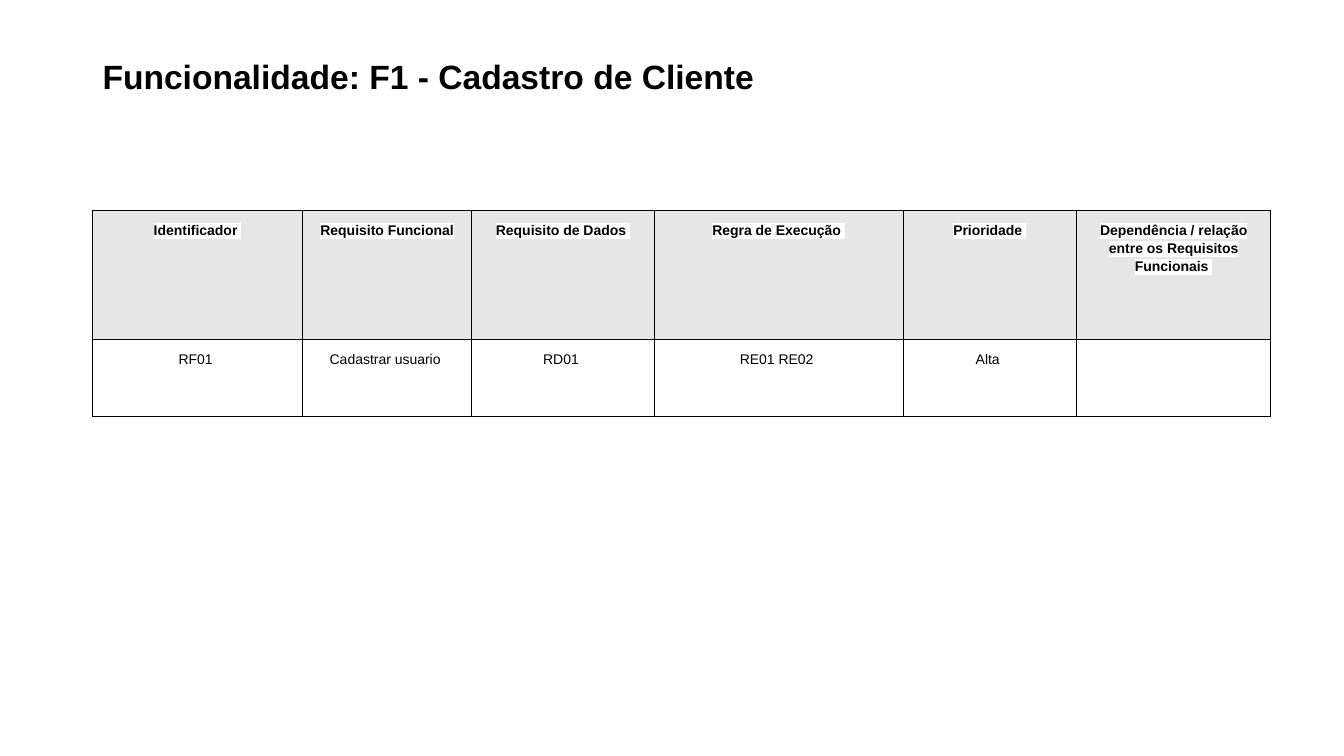
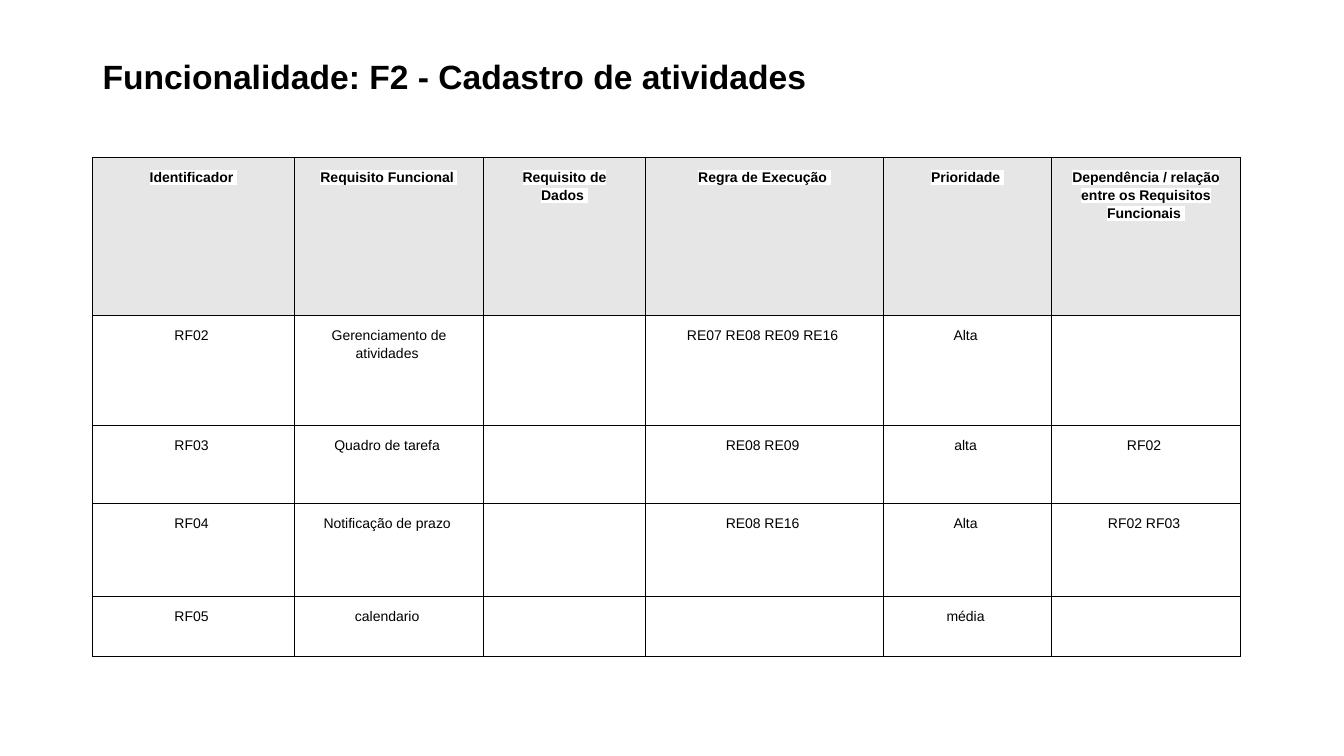
from dataclasses import dataclass

from lxml.etree import SubElement
from pptx import Presentation
from pptx.dml.color import RGBColor as Rgb
from pptx.enum.text import MSO_ANCHOR as Anchor, PP_ALIGN as Align
from pptx.oxml import parse_xml
from pptx.oxml.ns import nsdecls, qn
from pptx.util import Pt


@dataclass(frozen=True)
class Theme:
    font: str = "Arial"
    ink: str = "000000"
    paper: str = "FFFFFF"
    header: str = "E7E6E6"
    title_size: float = 24
    cell_size: float = 10
    border: float = 0.75
    cell_inset: float = 7.2
    indent: float = 5


THEME = Theme()

# Content
HEADINGS = [
    "Identificador", "Requisito Funcional", "Requisito de Dados",
    "Regra de Execução", "Prioridade",
    "Dependência / relação entre os Requisitos Funcionais",
]
FEATURES = [
    {
        "title": "Funcionalidade: F1 - Cadastro de Cliente",
        "top": 150.4,
        "widths": [149.8, 121, 130.3, 177.8, 123.8, 139],
        "heights": [92.2, 54.7],
        "rows": [
            ["RF01", "Cadastrar usuario", "RD01", "RE01 RE02", "Alta", ""],
        ],
    },
    {
        "title": "Funcionalidade: F2 - Cadastro de atividades",
        "top": 112.4,
        "widths": [144, 135.4, 115.2, 170.6, 119.5, 135.4],
        "heights": [113, 78.5, 55.4, 67, 42.5],
        "rows": [
            ["RF02", "Gerenciamento de atividades", "", "RE07 RE08 RE09 RE16", "Alta", ""],
            ["RF03", "Quadro de tarefa", "", "RE08 RE09", "alta", "RF02"],
            ["RF04", "Notificação de prazo", "", "RE08 RE16", "Alta", "RF02 RF03"],
            ["RF05", "calendario", "", "", "média", ""],
        ],
    },
]

# Layout
SLIDE_SIZE = (960, 540)
LEFT = 66.2
TITLE_BOX = (LEFT, 28.8, 828, 54.7)


def write(frame, text, *, size, bold=False, highlight=None, align=Align.LEFT,
          line=1.0, before=0, after=0, indent=0):
    """Fill a text frame; each text ends in a regular-weight space."""
    para = frame.paragraphs[0]
    para.alignment, para.line_spacing = align, line
    para.space_before, para.space_after = Pt(before), Pt(after)
    if indent:
        props = para._p.get_or_add_pPr()
        for side in ("marL", "marR"):
            props.set(side, str(Pt(indent)))
    for part, weight in ((text, bold), (" ", False)):
        span = para.add_run()
        span.text = part
        font = span.font
        font.size, font.bold = Pt(size), weight
        font.color.rgb = Rgb.from_string(THEME.ink)
        if highlight:
            mark = SubElement(span._r.get_or_add_rPr(), qn("a:highlight"))
            SubElement(mark, qn("a:srgbClr"), val=highlight)
        font.name = THEME.font


def add_borders(cell):
    props = cell._tc.get_or_add_tcPr()
    for index, side in enumerate("LRTB"):
        props.insert(index, parse_xml(
            f'<a:ln{side} {nsdecls("a")} w="{Pt(THEME.border)}"><a:solidFill>'
            f'<a:srgbClr val="{THEME.ink}"/></a:solidFill></a:ln{side}>'))


def add_title(page, text):
    frame = page.shapes.add_textbox(*map(Pt, TITLE_BOX)).text_frame
    frame.word_wrap, frame.vertical_anchor = True, Anchor.MIDDLE
    write(frame, text, size=THEME.title_size, bold=True,
          highlight=THEME.paper, line=0.9)


def add_requirements(page, feature):
    widths, heights = feature["widths"], feature["heights"]
    table = page.shapes.add_table(
        len(heights), len(widths), Pt(LEFT), Pt(feature["top"]),
        Pt(sum(widths)), Pt(sum(heights))).table
    table.first_row = table.horz_banding = False
    for column, width in zip(table.columns, widths):
        column.width = Pt(width)
    for row, height in zip(table.rows, heights):
        row.height = Pt(height)

    for r, texts in enumerate([HEADINGS, *feature["rows"]]):
        heading = r == 0
        for c, text in enumerate(texts):
            cell = table.cell(r, c)
            cell.margin_left = cell.margin_right = Pt(THEME.cell_inset)
            cell.margin_top = cell.margin_bottom = Pt(THEME.cell_inset)
            cell.fill.solid()
            cell.fill.fore_color.rgb = Rgb.from_string(
                THEME.header if heading else THEME.paper)
            add_borders(cell)
            if text:
                write(cell.text_frame, text, size=THEME.cell_size, bold=heading,
                      highlight=THEME.paper if heading else None,
                      align=Align.CENTER, line=1.15, before=4, after=6,
                      indent=THEME.indent)


def main():
    deck = Presentation()
    deck.slide_width, deck.slide_height = map(Pt, SLIDE_SIZE)
    for feature in FEATURES:
        page = deck.slides.add_slide(deck.slide_layouts[6])
        add_title(page, feature["title"])
        add_requirements(page, feature)
    deck.save("out.pptx")


if __name__ == "__main__":
    main()
